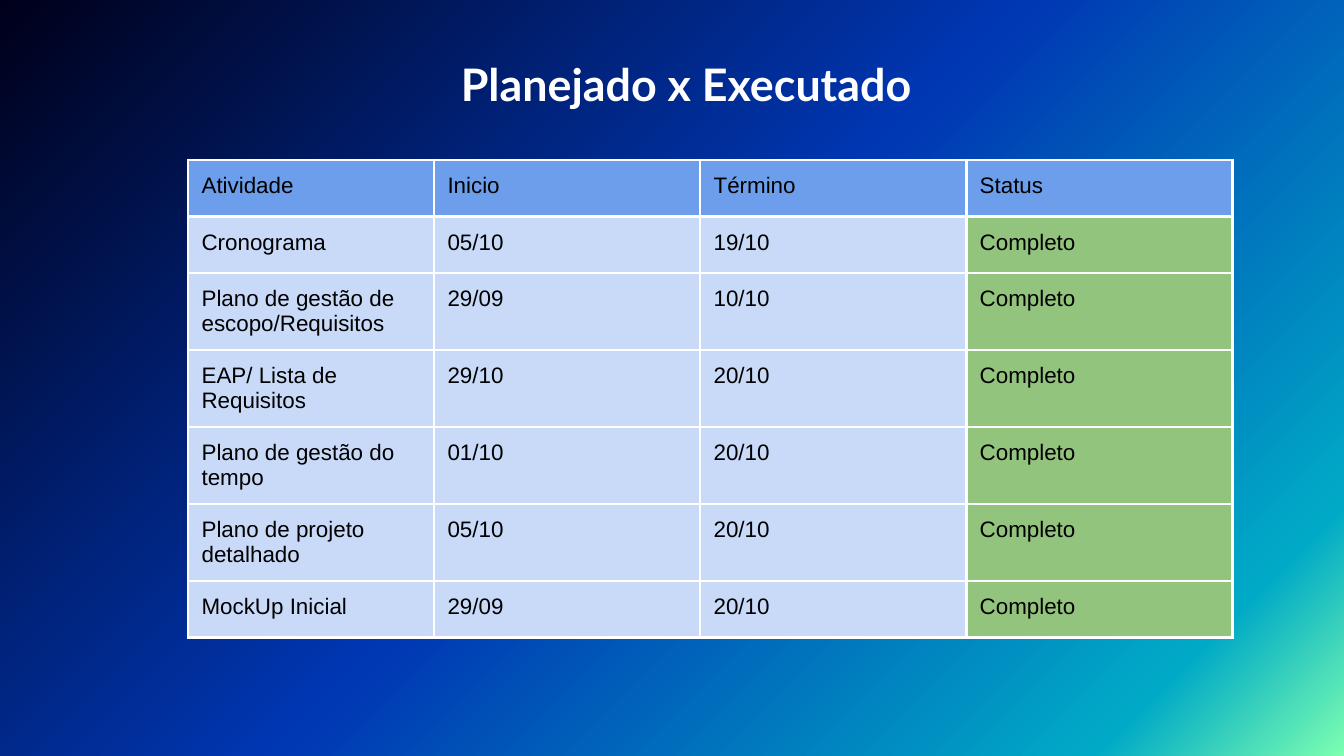
from dataclasses import dataclass

from lxml import etree
from pptx import Presentation
from pptx.dml.color import RGBColor
from pptx.enum.text import PP_ALIGN
from pptx.oxml.ns import qn
from pptx.util import Inches, Pt

CENTER = PP_ALIGN.CENTER
BLANK_LAYOUT = 6


@dataclass(frozen=True)
class Theme:
    white: str = "FFFFFF"
    black: str = "000000"
    header: str = "6D9EEB"
    body: str = "C9DAF8"
    done: str = "93C47D"
    gradient: tuple = ((0, "7DFFB1"), (12, "00AAC6"), (51, "0037B3"), (100, "00001A"))
    gradient_angle: int = 135
    title_font: str = "Lato"
    table_font: str = "Arial"
    title_size: int = 24
    table_size: int = 12
    border_width: float = 1.5


THEME = Theme()

TITLE = "Planejado x Executado"
HEADER = ("Atividade", "Inicio", "Término", "Status")
ACTIVITIES = (
    ("Cronograma", "05/10", "19/10"),
    ("Plano de gestão de escopo/Requisitos", "29/09", "10/10"),
    ("EAP/ Lista de Requisitos", "29/10", "20/10"),
    ("Plano de gestão do tempo", "01/10", "20/10"),
    ("Plano de projeto detalhado", "05/10", "20/10"),
    ("MockUp Inicial", "29/09", "20/10"),
)
STATUS = "Completo"
COLUMN_WIDTHS = (1.83, 1.98, 1.98, 1.98)
ROW_HEIGHT = 0.42
INSET = 0.1


def set_background(page):
    fill = page.background.fill
    fill.gradient()
    fill.gradient_angle = THEME.gradient_angle
    stops = page.element.find(".//" + qn("a:gsLst"))
    for stop in list(stops):
        stops.remove(stop)
    for percent, color in THEME.gradient:
        stop = etree.SubElement(stops, qn("a:gs"), pos=str(percent * 1000))
        etree.SubElement(stop, qn("a:srgbClr"), val=color)


def set_font(para, name, size, color, bold=False):
    para.font.name = name
    para.font.size = Pt(size)
    para.font.bold = bold
    para.font.color.rgb = RGBColor.from_string(color)


def set_insets(holder):
    """Give a text frame or a table cell the same margin on all sides."""
    holder.margin_left = holder.margin_right = Inches(INSET)
    holder.margin_top = holder.margin_bottom = Inches(INSET)


def add_title(page):
    box = page.shapes.add_textbox(Inches(2.7), Inches(0.26), Inches(4.81), Inches(0.43))
    frame = box.text_frame
    frame.word_wrap = True
    set_insets(frame)
    para = frame.paragraphs[0]
    para.text = TITLE
    para.alignment = CENTER
    para.line_spacing = 1.15
    set_font(para, THEME.title_font, THEME.title_size, THEME.white, bold=True)


def add_borders(cell):
    properties = cell._tc.get_or_add_tcPr()
    for side in ("a:lnL", "a:lnR", "a:lnT", "a:lnB"):
        line = etree.SubElement(properties, qn(side), w=str(Pt(THEME.border_width)))
        fill = etree.SubElement(line, qn("a:solidFill"))
        etree.SubElement(fill, qn("a:srgbClr"), val=THEME.white)


def fill_cell(cell, text, color):
    set_insets(cell)
    add_borders(cell)
    cell.fill.solid()
    cell.fill.fore_color.rgb = RGBColor.from_string(color)
    para = cell.text_frame.paragraphs[0]
    para.text = text
    set_font(para, THEME.table_font, THEME.table_size, THEME.black)


def add_schedule(page):
    rows = [HEADER] + [(*activity, STATUS) for activity in ACTIVITIES]
    frame = page.shapes.add_table(
        len(rows), len(HEADER), Inches(1.4), Inches(1.19),
        Inches(sum(COLUMN_WIDTHS)), Inches(ROW_HEIGHT * len(rows)))
    table = frame.table
    table.first_row = table.horz_banding = False
    for column, width in zip(table.columns, COLUMN_WIDTHS):
        column.width = Inches(width)
    body_colors = [THEME.body] * (len(HEADER) - 1) + [THEME.done]
    for index, texts in enumerate(rows):
        table.rows[index].height = Inches(ROW_HEIGHT)
        colors = body_colors if index else [THEME.header] * len(HEADER)
        for cell, text, color in zip(table.rows[index].cells, texts, colors):
            fill_cell(cell, text, color)


def main():
    deck = Presentation()
    deck.slide_width = Inches(10)
    deck.slide_height = deck.slide_width * 9 // 16
    page = deck.slides.add_slide(deck.slide_layouts[BLANK_LAYOUT])
    set_background(page)
    add_schedule(page)
    add_title(page)
    deck.save("out.pptx")


if __name__ == "__main__":
    main()
